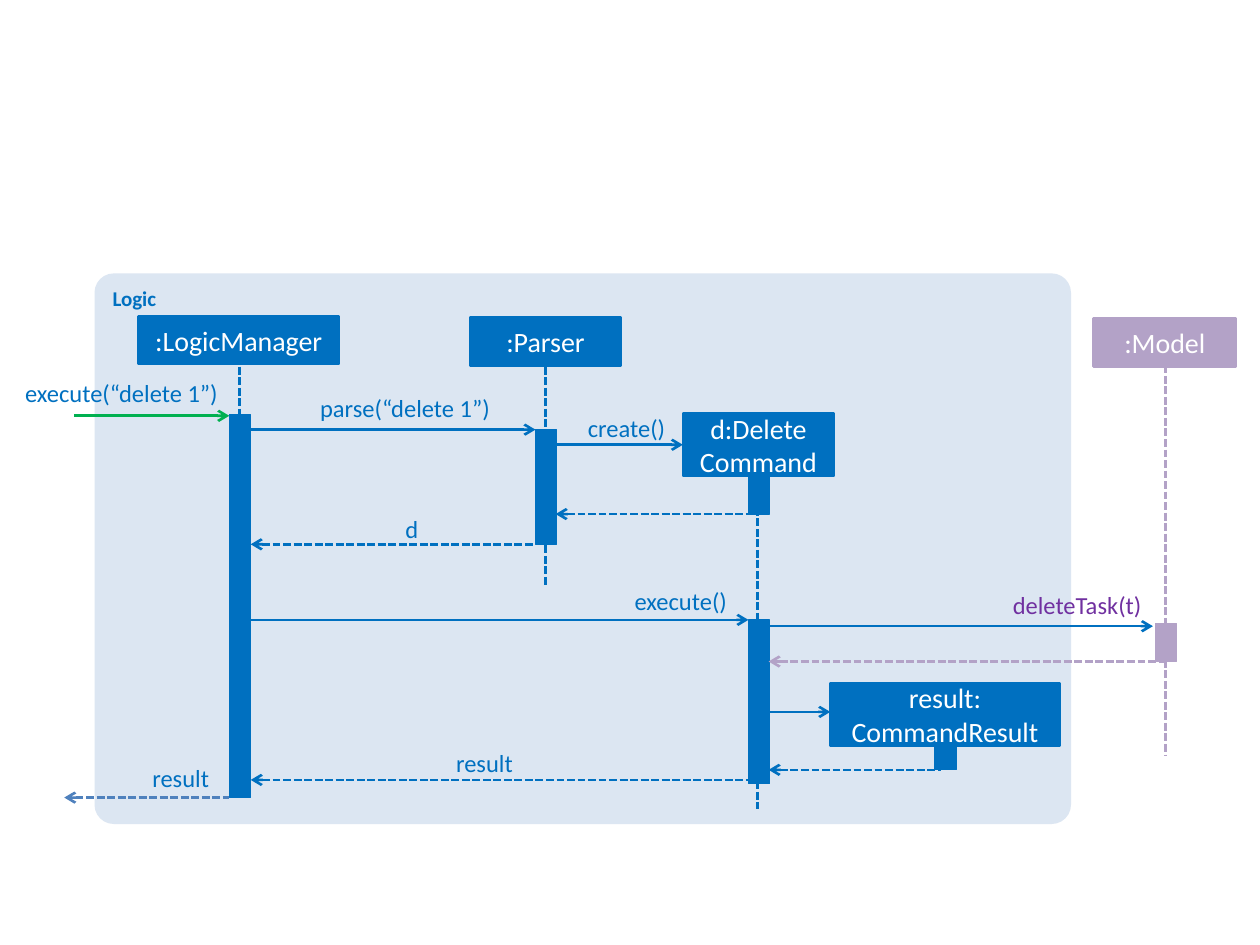
from copy import deepcopy
from lxml.etree import SubElement
from pptx import Presentation
from pptx.dml.color import RGBColor
from pptx.enum.dml import MSO_LINE
from pptx.enum.shapes import MSO_CONNECTOR, MSO_SHAPE
from pptx.enum.text import MSO_ANCHOR, MSO_AUTO_SIZE, PP_ALIGN
from pptx.oxml.ns import qn
from pptx.util import Inches, Pt

COLORS = {
    "panel": "DCE6F2", "logic": "0070C0", "model": "B3A2C7", "call": "00B050",
    "reply": "4F81BD", "task": "7030A0", "white": "FFFFFF",
}
FONT = "Calibri"
PANEL = (0.75, 2.17, 7.75, 4.37)
BAR_WIDTH = 0.17
LABEL_HEIGHT = 0.24

LIFELINES = [
    (1.9, 2.91, 5.75, "logic"),
    (4.33, 2.91, 4.65, "logic"),
    (6.01, 3.78, 6.42, "logic"),
    (9.25, 2.9, 6, "model"),
]
PARTICIPANTS = [
    (":LogicManager", 1.1, 2.51, 1.59, 0.38, "logic"),
    (":Parser", 3.73, 2.52, 1.2, 0.38, "logic"),
    ("d:Delete\nCommand", 5.42, 3.28, 1.2, 0.5, "logic"),
    (":Model", 8.68, 2.53, 1.13, 0.38, "model"),
    ("result:\nCommandResult", 6.59, 5.42, 1.82, 0.5, "logic"),
]
ACTIVATIONS = [
    (1.82, 3.29, 3.04, "logic"),
    (4.25, 3.41, 0.91, "logic"),
    (5.94, 3.78, 0.3, "logic"),
    (5.94, 4.92, 1.3, "logic"),
    (9.17, 4.95, 0.3, "model"),
    (7.42, 5.92, 0.19, "logic"),
]
CALLS = [
    (0.59, 1.82, 3.3, "call"),
    (1.99, 4.25, 3.41, "logic"),
    (4.41, 5.42, 3.53, "logic"),
    (1.99, 5.94, 4.92, "logic"),
    (6.1, 9.15, 4.97, "logic"),
    (6.1, 6.59, 5.65, "logic"),
]
RETURNS = [
    (4.41, 5.95, 4.08, "logic"),
    (1.99, 4.24, 4.32, "logic"),
    (0.51, 1.82, 6.33, "reply"),
    (6.1, 9.25, 5.25, "model"),
    (1.99, 5.98, 6.19, "logic"),
    (6.1, 7.47, 6.11, "logic"),
]
LABELS = [
    ("execute(“delete 1”)", 0.17, 3, 1.56, "logic"),
    ("parse(“delete 1”)", 2.33, 3.12, 1.56, "logic"),
    ("create()", 4.58, 3.28, 0.7, "logic"),
    ("d", 3.08, 4.08, 0.24, "logic"),
    ("execute()", 4.83, 4.65, 0.94, "logic"),
    ("deleteTask(t)", 7.5, 4.68, 1.56, "task"),
    ("result", 3.39, 5.94, 0.68, "logic"),
    ("result", 0.83, 6.06, 0.83, "logic"),
]


def color_of(name):
    return RGBColor.from_string(COLORS[name])


def write(box, text, size=16, color="white", bold=False,
          align=PP_ALIGN.CENTER, anchor=MSO_ANCHOR.MIDDLE):
    frame = box.text_frame
    frame.word_wrap = True
    frame.vertical_anchor = anchor
    para = frame.paragraphs[0]
    para.text = text.replace("\n", "\v")
    para.alignment = align
    for span in para.runs:
        span.font.name = FONT
        span.font.size = Pt(size)
        span.font.bold = bold
        span.font.color.rgb = color_of(color)
    for line_break in para._p.findall(qn("a:br")):
        line_break.insert(0, deepcopy(para.runs[0]._r.rPr))


def add_box(left, top, width, height, fill, line=None, kind=MSO_SHAPE.RECTANGLE):
    box = page.shapes.add_shape(
        kind, Inches(left), Inches(top), Inches(width), Inches(height))
    box.shadow.inherit = False
    box.fill.solid()
    box.fill.fore_color.rgb = color_of(fill)
    if line:
        box.line.color.rgb = color_of(fill)
        box.line.width = Pt(line)
    else:
        box.line.fill.background()
    return box


def add_line(start, end, color, dashed=False, arrow=None):
    connector = page.shapes.add_connector(
        MSO_CONNECTOR.STRAIGHT, *map(Inches, start + end))
    connector.line.color.rgb = color_of(color)
    connector.line.width = Pt(1.5)
    if dashed:
        connector.line.dash_style = MSO_LINE.SQUARE_DOT
    if arrow:
        SubElement(connector.line._get_or_add_ln(), qn(arrow), type="arrow")
    SubElement(connector._element.spPr, qn("a:effectLst"))


deck = Presentation()
deck.slide_width, deck.slide_height = Inches(10), Inches(7.5)
page = deck.slides.add_slide(deck.slide_layouts[6])

panel = add_box(*PANEL, "panel", kind=MSO_SHAPE.ROUNDED_RECTANGLE)
panel.adjustments[0] = 0.035
write(panel, "Logic", size=12, color="logic", bold=True,
      align=PP_ALIGN.LEFT, anchor=MSO_ANCHOR.TOP)

for x, top, bottom, color in LIFELINES:
    add_line((x, top), (x, bottom), color, dashed=True)
for name, left, top, width, height, color in PARTICIPANTS:
    write(add_box(left, top, width, height, color, line=1.5), name)
for left, top, height, color in ACTIVATIONS:
    add_box(left, top, BAR_WIDTH, height, color, line=0.75)
for left, right, y, color in CALLS:
    add_line((left, y), (right, y), color, arrow="a:tailEnd")
for left, right, y, color in RETURNS:
    add_line((left, y), (right, y), color, dashed=True, arrow="a:headEnd")

for text, left, top, width, color in LABELS:
    label = page.shapes.add_textbox(
        Inches(left), Inches(top), Inches(width), Inches(LABEL_HEIGHT))
    frame = label.text_frame
    frame.margin_left = frame.margin_right = frame.margin_top = frame.margin_bottom = 0
    frame.auto_size = MSO_AUTO_SIZE.SHAPE_TO_FIT_TEXT
    write(label, text, size=14, color=color, align=PP_ALIGN.RIGHT, anchor=MSO_ANCHOR.TOP)

deck.save("out.pptx")
